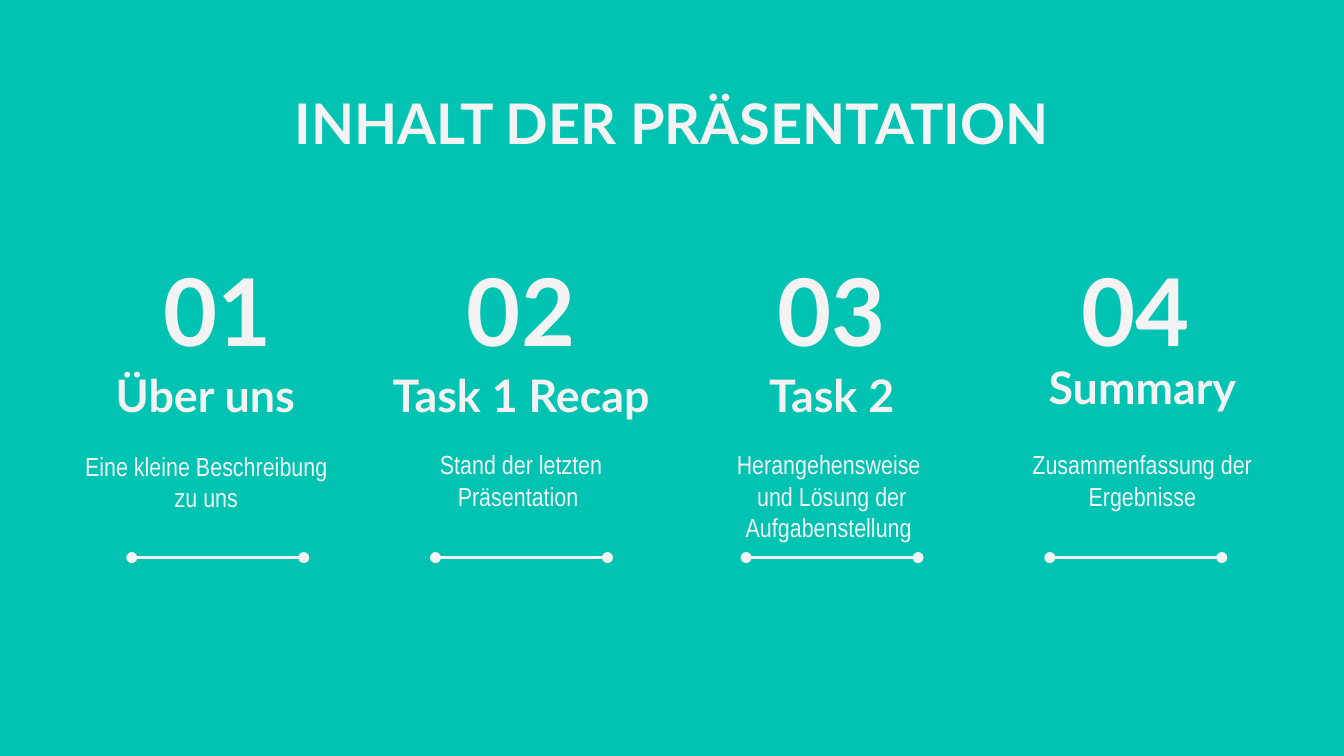
from dataclasses import dataclass

from lxml import etree
from pptx import Presentation
from pptx import util as u
from pptx.dml.color import RGBColor
from pptx.enum import shapes, text
from pptx.oxml import ns


@dataclass(frozen=True)
class Theme:
    """Colours, fonts and type sizes of the slide."""
    back: RGBColor = RGBColor(0x00, 0xC3, 0xB1)
    ink: RGBColor = RGBColor(0xF3, 0xF3, 0xF3)
    head: str = "Lato"
    body: str = "Arial Narrow"
    title: int = 30
    number: int = 50
    topic: int = 24
    note: int = 14
    rule: float = 1.5


THEME = Theme()
MID, TOP = text.MSO_ANCHOR.MIDDLE, text.MSO_ANCHOR.TOP
SIDES = ("left", "top", "right", "bottom")


def put(item, form):
    """Set the attributes of an item from a dict."""
    for key, value in form.items():
        setattr(item, key, value)


def write(slide, box, words, size, font=THEME.head, bold=True, anchor=MID, pad=0.25, after=0):
    """Place centred text in a box given in centimetres."""
    frame = slide.shapes.add_textbox(*map(u.Cm, box)).text_frame
    put(frame, {"word_wrap": True, "vertical_anchor": anchor})
    put(frame, {f"margin_{side}": u.Cm(pad) for side in SIDES})
    para = frame.paragraphs[0]
    para.text = words
    put(para, {"alignment": text.PP_ALIGN.CENTER, "space_after": u.Pt(after)})
    for run in para.runs:
        put(run.font, {"name": font, "size": u.Pt(size), "bold": bold})
        run.font.color.rgb = THEME.ink


def draw_rule(slide, left, top, width):
    """Draw a level line with a dot at each end."""
    ends = map(u.Cm, (left + width, top, left, top))
    line = slide.shapes.add_connector(shapes.MSO_CONNECTOR.STRAIGHT, *ends)
    line.line.color.rgb = THEME.ink
    line.line.width = u.Pt(THEME.rule)
    stroke = line.line._get_or_add_ln()
    for tag in ("a:headEnd", "a:tailEnd"):
        etree.SubElement(stroke, ns.qn(tag), type="oval")
    etree.SubElement(line._element.spPr, ns.qn("a:effectLst"))


def add_topic(slide, box, number, topic, note, shift=(0, 0), nudge=(0, 0), grow=0):
    """Fill one column with number, topic, note and rule."""
    left, top, width, height = box
    write(slide, (left, top, width, 1.78), number, THEME.number)
    write(slide, (left + shift[0], top + 1.93 + shift[1], width, 1.17),
          topic, THEME.topic, pad=0)
    write(slide, (left + nudge[0], top + 3.28 + nudge[1], width + grow, 2.1),
          note, THEME.note, THEME.body, False, TOP, after=16)
    draw_rule(slide, left + 1.07, top + height, 3.25)


def main():
    """Build and save the contents slide."""
    deck = Presentation()
    put(deck, {"slide_width": u.Cm(25.4), "slide_height": u.Cm(14.29)})
    slide = deck.slides.add_slide(deck.slide_layouts[6])
    fill = slide.background.fill
    fill.solid()
    fill.fore_color.rgb = THEME.back
    write(slide, (2, 1.42, 21.4, 1.6), "INHALT DER PRÄSENTATION", THEME.title, anchor=TOP)
    topics = (
        (1.42, "Über uns", "Eine kleine Beschreibung zu uns",
         {"shift": (-0.23, 0), "nudge": (-0.3, 0.03), "grow": 0.18}),
        (7.16, "Task 1 Recap", "Stand der letzten Präsentation ", {}),
        (13.03, "Task 2", "Herangehensweise \nund Lösung der Aufgabenstellung ", {}),
        (18.77, "Summary", "Zusammenfassung der Ergebnisse",
         {"shift": (0.13, -0.15), "nudge": (0.13, 0)}),
    )
    for rank, (left, topic, note, form) in enumerate(topics, 1):
        add_topic(slide, (left, 4.95, 5.38, 5.59), f"{rank:02}", topic, note, **form)
    deck.save("out.pptx")


if __name__ == "__main__":
    main()
